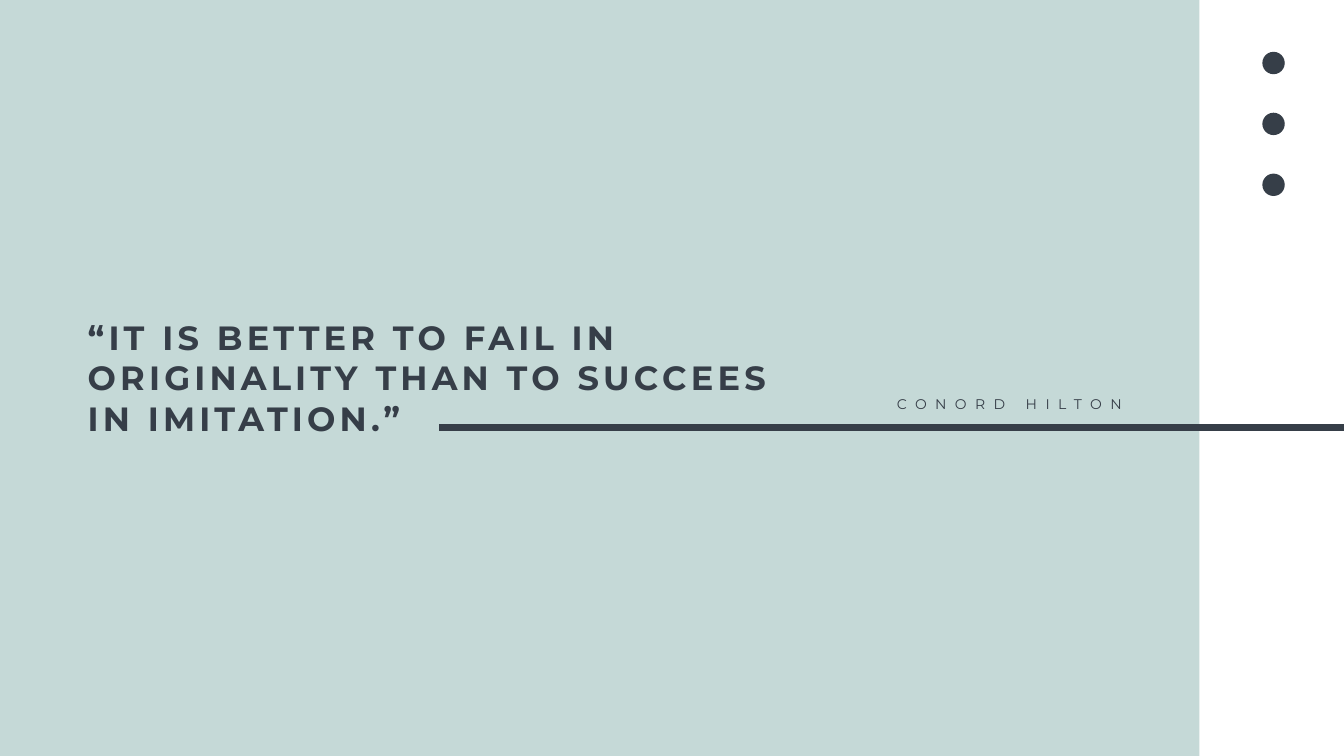
"""Build a quote slide with a tinted panel, an author line and three side markers."""
from lxml.etree import SubElement
from pptx import Presentation
from pptx.dml.color import RGBColor
from pptx.enum.shapes import MSO_CONNECTOR, MSO_SHAPE
from pptx.enum.text import MSO_AUTO_SIZE
from pptx.oxml.ns import qn
from pptx.util import Pt

WIDTH, HEIGHT = 1919.52, 1080
PANEL_WIDTH = 1712.88
DARK, TINT = "363E48", "B7D0CD"
FONT = "Montserrat"

TEXTS = [
    {"text": "“IT IS BETTER TO FAIL IN ORIGINALITY THAN TO SUCCEES IN IMITATION.”",
     "area": (118.08, 449.28, 1009.44, 181.44),
     "size": 48, "bold": True, "spacing": 6, "wrap": True},
    {"text": "CONORD HILTON",
     "area": (1273.68, 560.88, 352.8, 31.68),
     "size": 20, "bold": False, "spacing": 12, "wrap": False},
]
RULE_LEFT, RULE_TOP, RULE_WEIGHT = 627.12, 610.56, 10
MARKER_CENTER, MARKER_SIZE = 1818.9, 32
MARKER_FIRST, MARKER_STEP, MARKER_COUNT = 90, 87, 3


def color(value):
    return RGBColor.from_string(value)


def add_plain_shape(slide, kind, area, fill):
    shape = slide.shapes.add_shape(kind, *map(Pt, area))
    shape.shadow.inherit = False
    shape.fill.solid()
    shape.fill.fore_color.rgb = color(fill)
    shape.line.fill.background()
    return shape


def add_panel(slide):
    panel = add_plain_shape(slide, MSO_SHAPE.RECTANGLE, (0, 0, PANEL_WIDTH, HEIGHT), TINT)
    tint = panel.fill._xPr.find(qn("a:solidFill")).find(qn("a:srgbClr"))
    SubElement(tint, qn("a:alpha")).set("val", "80000")


def add_text(slide, item):
    box = slide.shapes.add_textbox(*map(Pt, item["area"]))
    frame = box.text_frame
    frame.word_wrap = item["wrap"]
    frame.auto_size = MSO_AUTO_SIZE.SHAPE_TO_FIT_TEXT
    para = frame.paragraphs[0]
    span = para.add_run()
    span.text = item["text"]
    span._r.get_or_add_rPr().set("spc", str(item["spacing"] * 100))
    para.font.name = FONT
    para.font.size = Pt(item["size"])
    para.font.bold = item["bold"]
    para.font.color.rgb = color(DARK)


def add_rule(slide):
    ends = (WIDTH, RULE_TOP, RULE_LEFT, RULE_TOP)
    rule = slide.shapes.add_connector(MSO_CONNECTOR.STRAIGHT, *map(Pt, ends))
    rule.line.color.rgb = color(DARK)
    rule.line.width = Pt(RULE_WEIGHT)
    SubElement(rule._element.spPr, qn("a:effectLst"))


def main():
    deck = Presentation()
    deck.slide_width, deck.slide_height = Pt(WIDTH), Pt(HEIGHT)
    page = deck.slides.add_slide(deck.slide_layouts[6])
    add_panel(page)
    for item in TEXTS:
        add_text(page, item)
    for index in range(MARKER_COUNT):
        left = MARKER_CENTER - MARKER_SIZE / 2
        top = MARKER_FIRST + index * MARKER_STEP - MARKER_SIZE / 2
        add_plain_shape(page, MSO_SHAPE.OVAL, (left, top, MARKER_SIZE, MARKER_SIZE), DARK)
    add_rule(page)
    deck.save("out.pptx")


if __name__ == "__main__":
    main()
